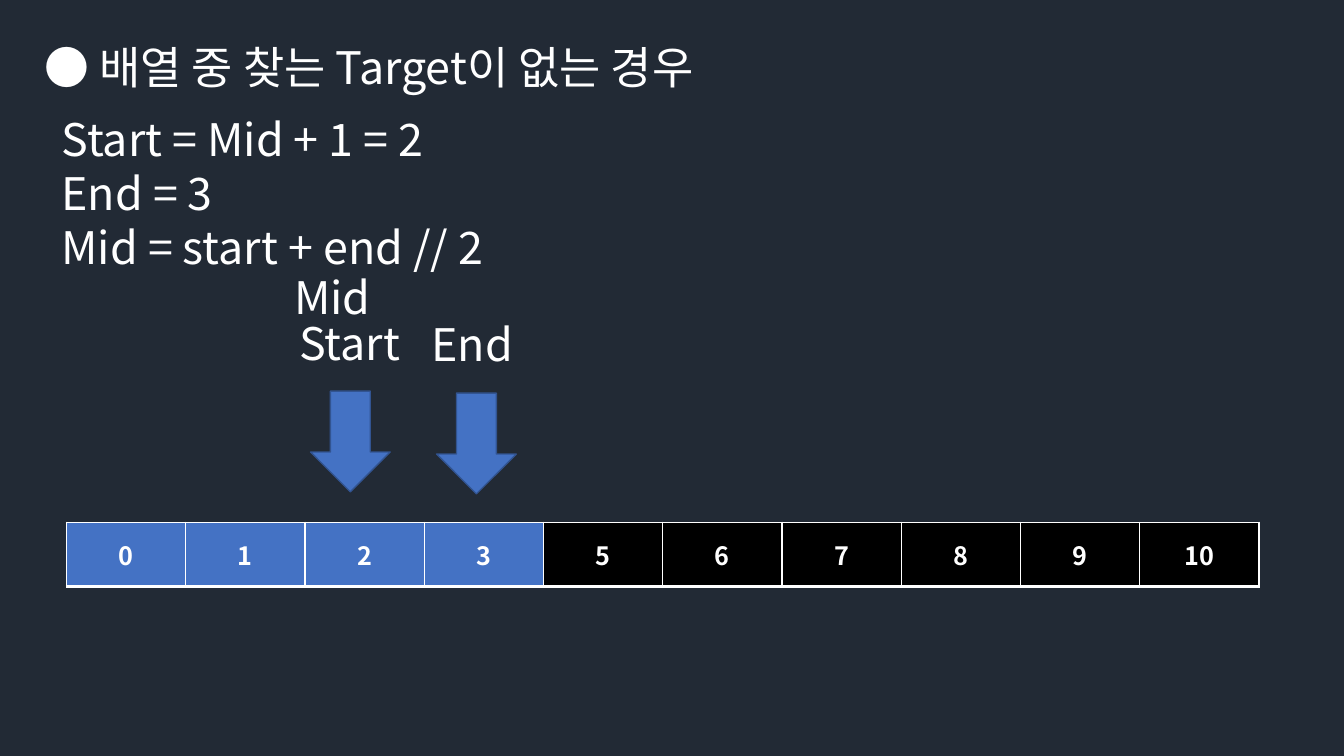
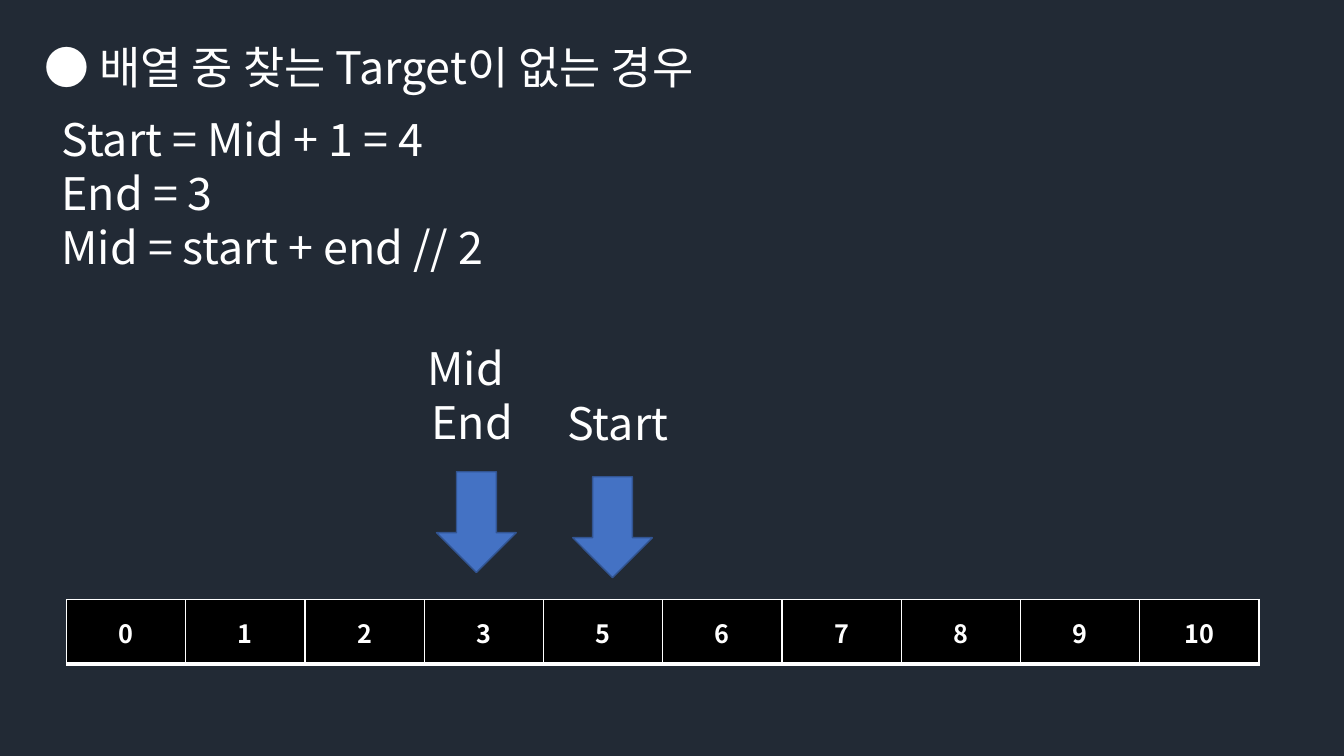
from dataclasses import dataclass

from lxml.etree import SubElement
from pptx import Presentation
from pptx.dml.color import RGBColor
from pptx.enum.shapes import MSO_SHAPE
from pptx.enum.text import MSO_ANCHOR, MSO_AUTO_SIZE, PP_ALIGN
from pptx.oxml.ns import qn
from pptx.util import Inches, Pt


@dataclass(frozen=True)
class Theme:
    font: str = "Noto Sans CJK KR"
    background: str = "222A35"
    text: str = "FFFFFF"
    active: str = "4472C4"
    inactive: str = "000000"
    arrow_line: str = "325491"
    text_size: int = 32
    cell_size: int = 18


THEME = Theme()
TITLE = "● 배열 중 찾는 Target이 없는 경우"
VALUES = [0, 1, 2, 3, 5, 6, 7, 8, 9, 10]

# Labels and arrows are given by their left and top in inches.
STEPS = [
    {
        "lines": ["Start = Mid + 1 = 2", "End = 3", "Mid = start + end // 2"],
        "array_top": 5.18,
        "active_cells": 4,
        "arrows": [(3.08, 3.88), (4.33, 3.9)],
        "labels": [("Start", 2.87, 3.08), ("End", 4.18, 3.09), ("Mid", 2.82, 2.63)],
    },
    {
        "lines": ["Start = Mid + 1 = 4", "End = 3", "Mid = start + end // 2"],
        "array_top": 5.95,
        "active_cells": 0,
        "arrows": [(4.33, 4.68), (5.68, 4.73)],
        "labels": [("Start", 5.53, 3.88), ("End", 4.18, 3.87), ("Mid", 4.14, 3.33)],
    },
]

TITLE_BOX = (0.34, 0.34, 7.29, 0.64)
BODY_BOX = (0.51, 1.06, 5.19, 1.72)
LABEL_SIZE = (1.24, 0.64)
ARROW_SIZE = (0.79, 1)
ARRAY_LEFT, ARRAY_WIDTH, ARRAY_HEIGHT = 0.66, 11.83, 0.64
BORDERS = {"a:lnL": 1, "a:lnR": 1, "a:lnT": 1, "a:lnB": 3}


def color(value):
    return RGBColor.from_string(value)


def write(text_frame, lines, size=THEME.text_size, bold=False,
          align=PP_ALIGN.LEFT, anchor=MSO_ANCHOR.TOP):
    """Fill a text frame with one unbulleted paragraph per line."""
    text_frame.word_wrap = True
    text_frame.vertical_anchor = anchor
    for index, line in enumerate(lines):
        paragraph = text_frame.paragraphs[0] if index == 0 else text_frame.add_paragraph()
        paragraph.alignment = align
        paragraph.space_before = Pt(0)
        properties = paragraph._p.get_or_add_pPr()
        properties.set("marL", "0")
        properties.set("indent", "0")
        SubElement(properties, qn("a:buNone"))
        run = paragraph.add_run()
        run.text = line
        run.font.name = THEME.font
        run.font.size = Pt(size)
        run.font.bold = bold
        run.font.color.rgb = color(THEME.text)
        SubElement(run._r.get_or_add_rPr(), qn("a:ea"), typeface=THEME.font)


def place(shape, box):
    shape.left, shape.top, shape.width, shape.height = map(Inches, box)


def add_cell_borders(cell):
    properties = cell._tc.get_or_add_tcPr()
    for index, (tag, width) in enumerate(BORDERS.items()):
        line = properties.makeelement(qn(tag), {"w": str(Pt(width))})
        fill = SubElement(line, qn("a:solidFill"))
        SubElement(fill, qn("a:srgbClr"), val=THEME.text)
        properties.insert(index, line)


def add_array(slide, top, active_cells):
    frame = slide.shapes.add_table(1, len(VALUES), Inches(ARRAY_LEFT), Inches(top),
                                   Inches(ARRAY_WIDTH), Inches(ARRAY_HEIGHT))
    for index, value in enumerate(VALUES):
        cell = frame.table.cell(0, index)
        cell.fill.solid()
        cell.fill.fore_color.rgb = color(
            THEME.active if index < active_cells else THEME.inactive)
        cell.vertical_anchor = MSO_ANCHOR.MIDDLE
        write(cell.text_frame, [str(value)], size=THEME.cell_size, bold=True,
              align=PP_ALIGN.CENTER, anchor=None)
        add_cell_borders(cell)


def add_arrow(slide, left, top):
    arrow = slide.shapes.add_shape(MSO_SHAPE.DOWN_ARROW,
                                   *map(Inches, (left, top, *ARROW_SIZE)))
    arrow.shadow.inherit = False
    arrow.fill.solid()
    arrow.fill.fore_color.rgb = color(THEME.active)
    arrow.line.color.rgb = color(THEME.arrow_line)
    arrow.line.width = Pt(1)


def add_label(slide, text, left, top):
    label = slide.shapes.add_textbox(*map(Inches, (left, top, *LABEL_SIZE)))
    write(label.text_frame, [text])


def add_step(presentation, layout, step):
    slide = presentation.slides.add_slide(layout)
    title, body = slide.placeholders
    for placeholder, lines in ((title, [TITLE]), (body, step["lines"])):
        placeholder.text_frame.auto_size = MSO_AUTO_SIZE.NONE
        write(placeholder.text_frame, lines)
    add_array(slide, step["array_top"], step["active_cells"])
    for position in step["arrows"]:
        add_arrow(slide, *position)
    for label in step["labels"]:
        add_label(slide, *label)


def main():
    presentation = Presentation()
    presentation.slide_width = Inches(13.33)
    presentation.slide_height = Inches(7.5)
    background = presentation.slide_master.background.fill
    background.solid()
    background.fore_color.rgb = color(THEME.background)
    layout = presentation.slide_layouts[1]
    for placeholder, box in zip(layout.placeholders, (TITLE_BOX, BODY_BOX)):
        place(placeholder, box)
    for step in STEPS:
        add_step(presentation, layout, step)
    presentation.save("out.pptx")


if __name__ == "__main__":
    main()
